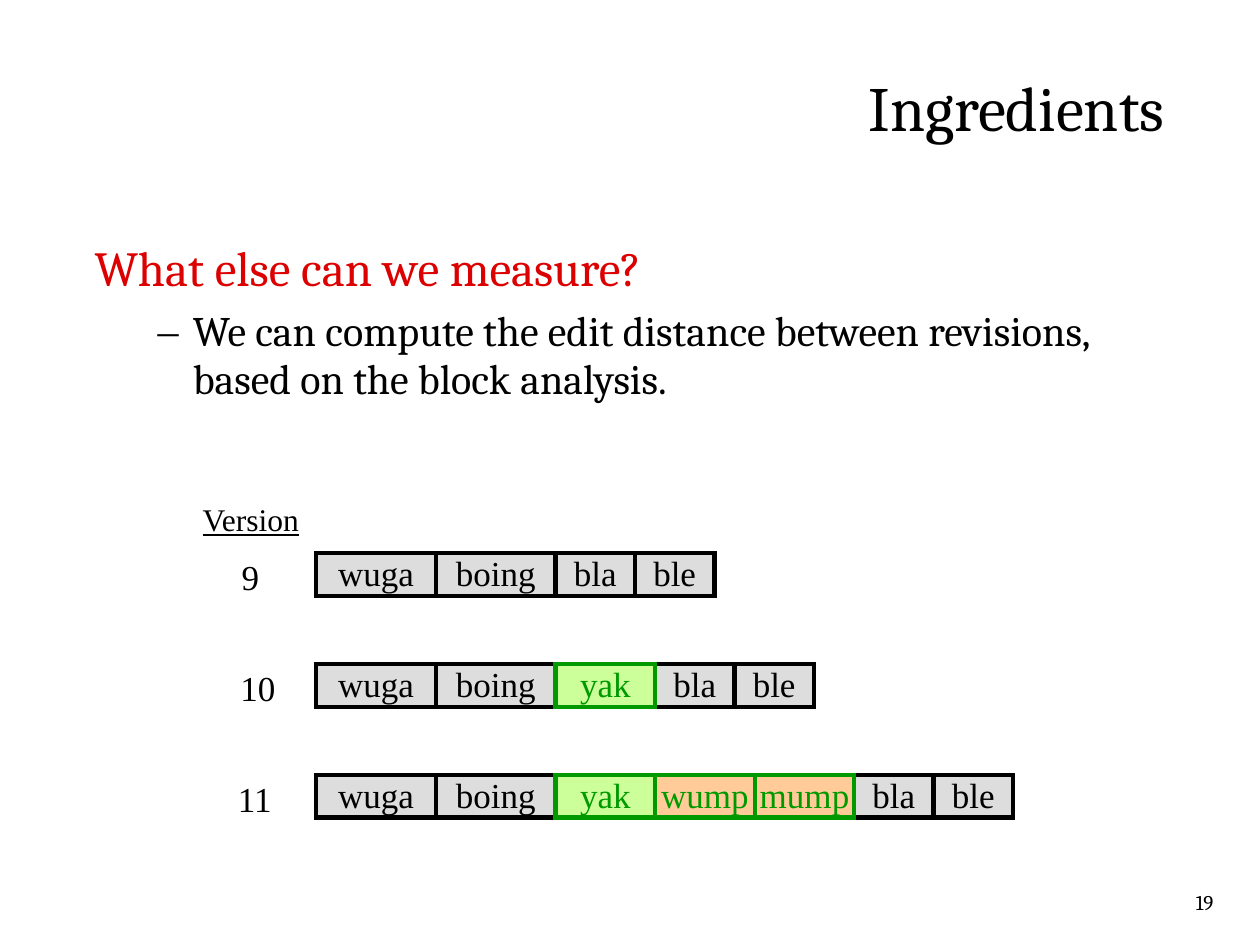
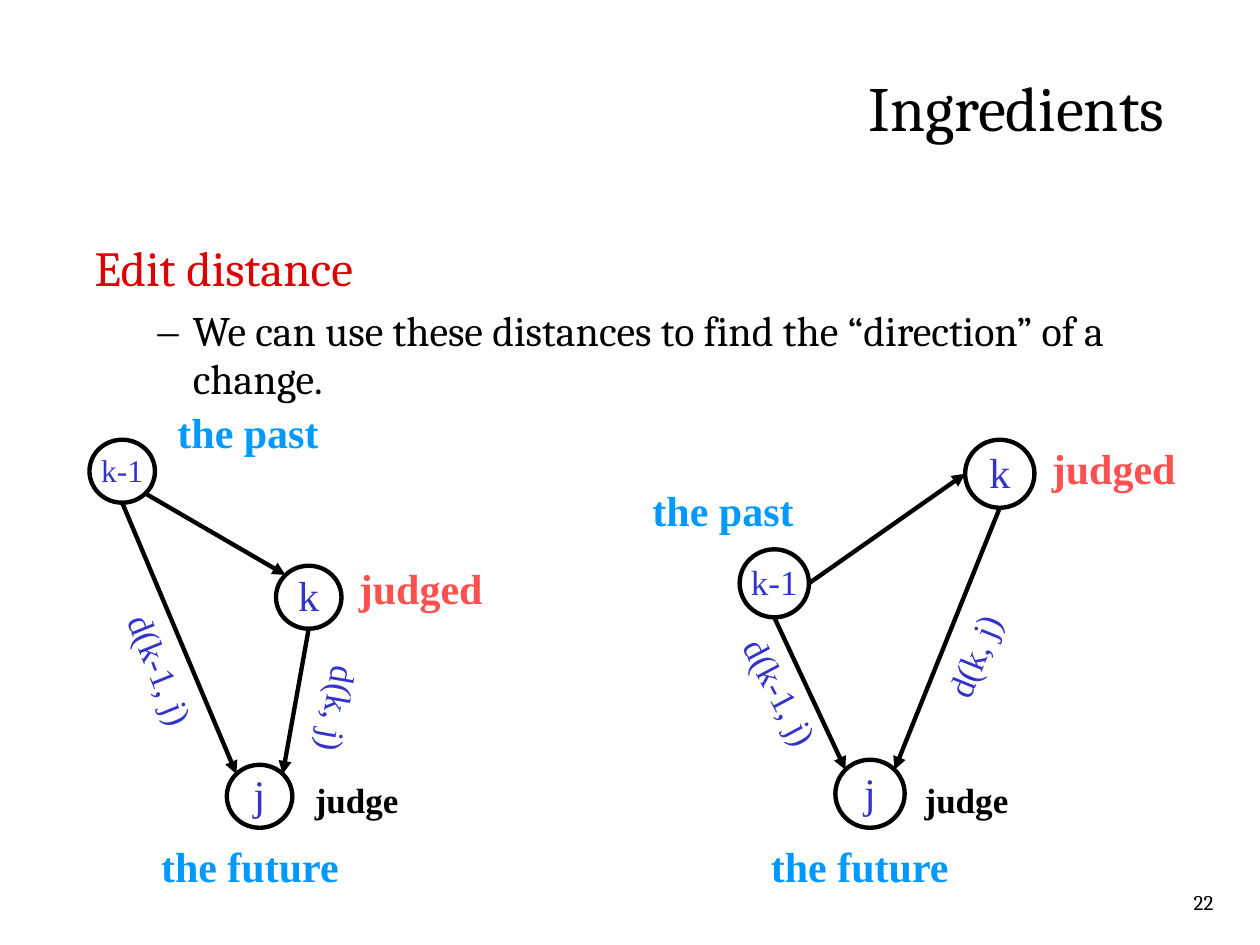
from math import cos, radians, sin

from lxml.etree import SubElement
from pptx import Presentation
from pptx.dml.color import RGBColor
from pptx.enum.shapes import MSO_CONNECTOR, MSO_SHAPE
from pptx.enum.text import MSO_ANCHOR, MSO_AUTO_SIZE, PP_ALIGN
from pptx.oxml.ns import qn
from pptx.util import Inches, Pt

SERIF, TIMES = "Cambria", "Times New Roman"
BLACK, RED, BLUE, SKY, CORAL = "000000", "DC0000", "3333CC", "0099FF", "FF5050"
GREEN, GREY, LIME, PEACH = "009900", "DDDDDD", "CCFF99", "FFCC99"
LINE_WIDTH = Pt(2.5)


def color(hex_text):
    return RGBColor.from_string(hex_text)


def write(para, text, size, ink=BLACK, font=TIMES, align=PP_ALIGN.LEFT, spacing=0.96):
    """Add one formatted run to the paragraph and return it."""
    para.alignment = align
    para.line_spacing = spacing
    span = para.add_run()
    span.text = text
    span.font.name = font
    span.font.size = Pt(size)
    span.font.color.rgb = color(ink)
    return span


deck = Presentation()
deck.slide_width, deck.slide_height = Inches(10), Inches(7.5)

# Title, heading, bullet and page number of every slide
pages = []
for heading, point, number in [
    ("What else can we measure?",
     "We can compute the edit distance between revisions, based on the block analysis.", "19"),
    ("Edit distance",
     "We can use these distances to find the “direction” of a change.", "22"),
]:
    page = deck.slides.add_slide(deck.slide_layouts[6])
    pages.append(page)

    title = page.shapes.add_textbox(Inches(0.75), Inches(0.3), Inches(8.49), Inches(1.14))
    body = page.shapes.add_textbox(Inches(0.75), Inches(1.92), Inches(8.49), Inches(4.98))
    for box in (title, body):
        frame = box.text_frame
        frame.word_wrap = True
        frame.margin_left = frame.margin_right = frame.margin_top = frame.margin_bottom = 0
    title.text_frame.vertical_anchor = MSO_ANCHOR.MIDDLE
    write(title.text_frame.paragraphs[0], "Ingredients", 36, font=SERIF,
          align=PP_ALIGN.RIGHT, spacing=0.95)

    write(body.text_frame.paragraphs[0], heading, 28, RED, SERIF, spacing=0.95)
    para = body.text_frame.add_paragraph()
    para.level = 1
    properties = para._p.get_or_add_pPr()
    properties.set("marL", str(Inches(0.78)))
    properties.set("indent", str(Inches(-0.28)))
    bullet_color = SubElement(properties, qn("a:buClr"))
    SubElement(bullet_color, qn("a:srgbClr"), val=BLACK)
    SubElement(properties, qn("a:buFont"), typeface=TIMES)
    SubElement(properties, qn("a:buChar"), char="–")
    para.space_before = Pt(6)
    write(para, point, 24, font=SERIF, spacing=0.95)

    box = page.shapes.add_textbox(Inches(9.26), Inches(7.01), Inches(0.47), Inches(0.3))
    box.text_frame.word_wrap = True
    write(box.text_frame.paragraphs[0], number, 12, font=SERIF,
          align=PP_ALIGN.RIGHT, spacing=1.0)

versions_page, graphs_page = pages

# Slide 1: the blocks of three versions; each block has a width, fill and ink
blocks = {
    "wuga": (0.95, GREY, BLACK),
    "boing": (0.95, GREY, BLACK),
    "yak": (0.79, LIME, GREEN),
    "wump": (0.79, PEACH, GREEN),
    "mump": (0.79, PEACH, GREEN),
    "bla": (0.63, GREY, BLACK),
    "ble": (0.63, GREY, BLACK),
}
versions = [
    ("9", 1.82, 0.34, ["wuga", "boing", "bla", "ble"]),
    ("10", 1.81, 0.48, ["wuga", "boing", "yak", "bla", "ble"]),
    ("11", 1.79, 0.48, ["wuga", "boing", "yak", "wump", "mump", "bla", "ble"]),
]
# Labels: text, left, top, width, height, size, ink, bold, rotation
version_labels = [("Version", 1.51, 3.94, 0.99, 0.39, 18, BLACK, False, 0)]
for row, (number, label_left, label_width, words) in enumerate(versions):
    top = 4.39 + 0.88 * row
    version_labels.append(
        (number, label_left, top - 0.01, label_width, 0.42, 20, BLACK, False, 0))
    left = 2.51
    placed = []
    for word in words:
        placed.append((word, left))
        left += blocks[word][0]
    # Green outlines lie over the black ones
    for word, left in sorted(placed, key=lambda item: blocks[item[0]][2] == GREEN):
        width, fill, ink = blocks[word]
        block = versions_page.shapes.add_shape(
            MSO_SHAPE.RECTANGLE, Inches(left), Inches(top), Inches(width), Inches(0.34))
        block.shadow.inherit = False
        block.fill.solid()
        block.fill.fore_color.rgb = color(fill)
        block.line.color.rgb = color(ink)
        block.line.width = LINE_WIDTH
        SubElement(block.line._get_or_add_ln(), qn("a:miter"), lim="800000")
        block.text_frame.word_wrap = False
        block.text_frame.vertical_anchor = MSO_ANCHOR.MIDDLE
        write(block.text_frame.paragraphs[0], word, 20, ink, align=PP_ALIGN.CENTER)

# Slide 2: two graphs; node size, nodes (left, top, text size) and
# edges (node, angle, node, angle), angles in degrees clockwise from the right
graphs = [
    ((0.52, 0.5),
     {"k-1": (0.71, 3.49, 18), "k": (2.19, 4.49, 24), "j": (1.8, 6.07, 24)},
     [("k-1", 90, "j", 225), ("k-1", 45, "k", 225), ("k", 90, "j", 315)]),
    ((0.55, 0.54),
     {"k-1": (5.87, 4.36, 20), "k": (7.66, 3.49, 24), "j": (6.63, 6.03, 24)},
     [("k-1", 90, "j", 225), ("k-1", 0, "k", 180), ("k", 90, "j", 315)]),
]
for (width, height), nodes, edges in graphs:
    for name, (left, top, size) in nodes.items():
        node = graphs_page.shapes.add_shape(
            MSO_SHAPE.OVAL, Inches(left), Inches(top), Inches(width), Inches(height))
        node.shadow.inherit = False
        node.fill.background()
        node.line.color.rgb = color(BLACK)
        node.line.width = LINE_WIDTH
        node.text_frame.word_wrap = False
        node.text_frame.vertical_anchor = MSO_ANCHOR.MIDDLE
        write(node.text_frame.paragraphs[0], name, size, BLUE, align=PP_ALIGN.CENTER)

    for start, start_angle, end, end_angle in edges:
        ends = []
        for name, angle in ((start, start_angle), (end, end_angle)):
            left, top, size = nodes[name]
            ends.append(Inches(left + width / 2 * (1 + cos(radians(angle)))))
            ends.append(Inches(top + height / 2 * (1 + sin(radians(angle)))))
        arrow = graphs_page.shapes.add_connector(MSO_CONNECTOR.STRAIGHT, *ends)
        arrow.line.color.rgb = color(BLACK)
        arrow.line.width = LINE_WIDTH
        SubElement(arrow.line._get_or_add_ln(), qn("a:tailEnd"), type="triangle")
        SubElement(arrow._element.spPr, qn("a:effectLst"))

graph_labels = [
    ("d(k-1, j)", 0.71, 5.11, 1.11, 0.42, 20, BLUE, False, 68),
    ("d(k, j)", 2.23, 5.42, 0.88, 0.42, 20, BLUE, False, 100),
    ("d(k-1, j)", 5.63, 5.29, 1.11, 0.42, 20, BLUE, False, 62),
    ("d(k, j)", 7.3, 5, 0.88, 0.42, 20, BLUE, False, 292),
    ("the past", 1.31, 3.2, 1.32, 0.49, 24, SKY, True, 0),
    ("the past", 5.08, 3.82, 1.32, 0.49, 24, SKY, True, 0),
    ("judged", 2.75, 4.44, 1.18, 0.49, 24, CORAL, True, 0),
    ("judged", 8.25, 3.49, 1.18, 0.49, 24, CORAL, True, 0),
]
for shift in (0, 4.84):
    graph_labels += [
        ("judge", 2.4 + shift, 6.15, 0.9, 0.42, 20, BLACK, True, 0),
        ("the future", 1.18 + shift, 6.65, 1.61, 0.49, 24, SKY, True, 0),
    ]

# Free labels of both slides
for page, labels in ((versions_page, version_labels), (graphs_page, graph_labels)):
    for text, left, top, width, height, size, ink, bold, rotation in labels:
        box = page.shapes.add_textbox(Inches(left), Inches(top), Inches(width), Inches(height))
        box.rotation = rotation
        box.text_frame.word_wrap = False
        box.text_frame.auto_size = MSO_AUTO_SIZE.SHAPE_TO_FIT_TEXT
        span = write(box.text_frame.paragraphs[0], text, size, ink)
        span.font.bold = bold
        span.font.underline = text == "Version"

deck.save("out.pptx")
